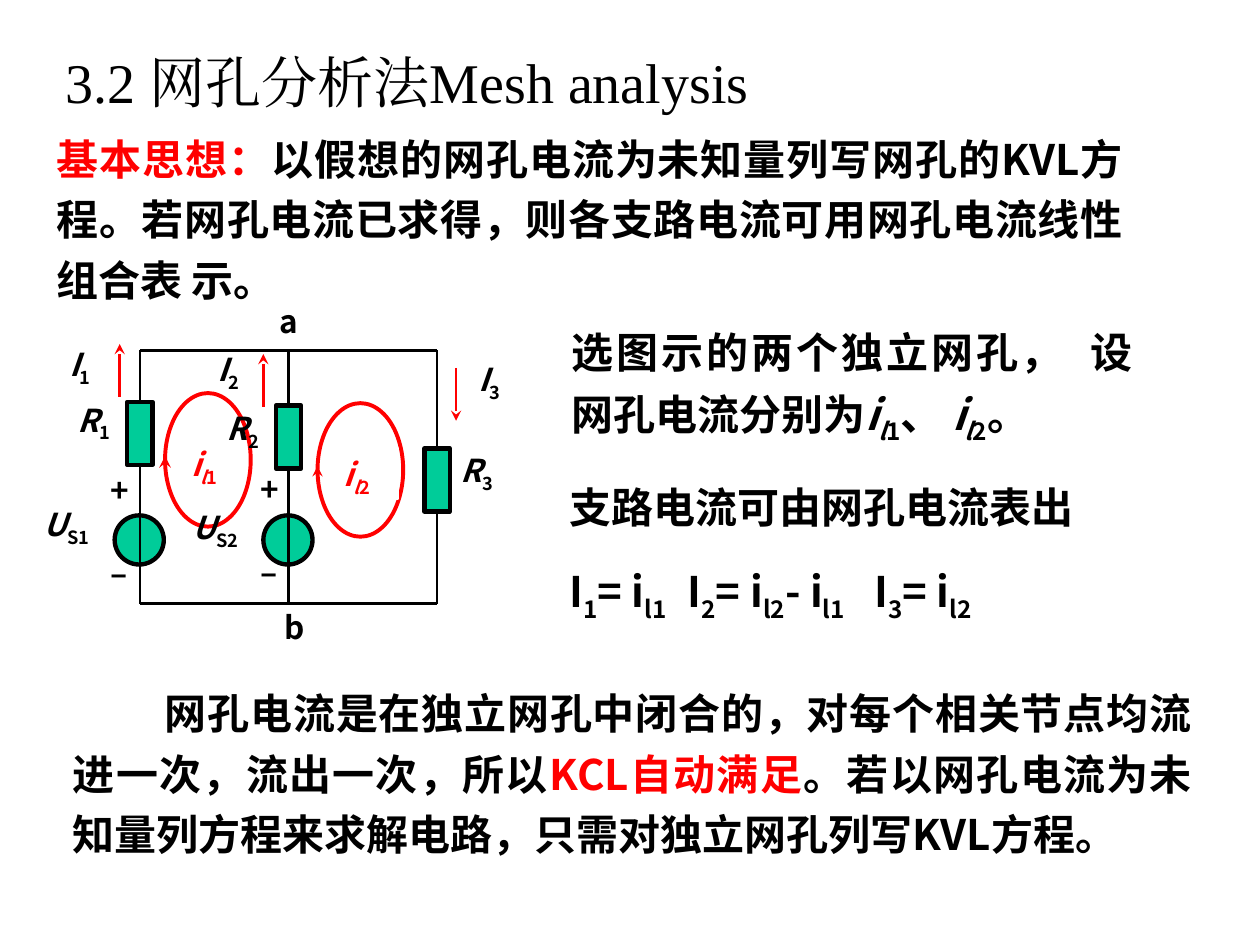
from dataclasses import dataclass

from lxml import etree
from pptx import Presentation
from pptx.dml.color import RGBColor
from pptx.enum import shapes, text
from pptx.oxml import ns
from pptx.util import Inches, Pt


@dataclass(frozen=True)
class Theme:
    black: RGBColor = RGBColor(0, 0, 0)
    red: RGBColor = RGBColor(255, 0, 0)
    green: RGBColor = RGBColor(0, 0xCC, 0x99)
    white: RGBColor = RGBColor(255, 255, 255)
    body_font: str = "Noto Sans CJK SC"
    title_font: str = "Times New Roman"
    title: int = 32
    body: int = 24
    label: int = 18


theme = Theme()
prs = Presentation()
prs.slide_width, prs.slide_height = Inches(10), Inches(7.5)
slide = prs.slides.add_slide(prs.slide_layouts[6])


def add_text(at, paragraphs, size=theme.label, font=theme.body_font, bold=True,
             spacing=None, justify=False, wrap=True):
    """Each run is (wording, flags): i italic, s subscript, r red."""
    box = slide.shapes.add_textbox(*map(Inches, at))
    frame = box.text_frame
    frame.word_wrap = wrap
    for number, runs in enumerate(paragraphs):
        paragraph = frame.add_paragraph() if number else frame.paragraphs[0]
        if number:
            paragraph.space_before = Pt(13)
        if spacing:
            paragraph.line_spacing = spacing
        paragraph.alignment = text.PP_ALIGN.JUSTIFY if justify else text.PP_ALIGN.LEFT
        for wording, flags in runs:
            run = paragraph.add_run()
            run.text = wording
            run.font.size, run.font.name, run.font.bold = Pt(size), font, bold
            run.font.italic = "i" in flags
            run.font.color.rgb = theme.red if "r" in flags else theme.black
            properties = run.font._element
            etree.SubElement(properties, ns.qn("a:ea")).set("typeface", font)
            if "s" in flags:
                properties.set("baseline", "-25000")
    return box


def add_line(x1, y1, x2, y2, color=theme.black, width=1.5, arrow=False):
    line = slide.shapes.add_connector(
        shapes.MSO_CONNECTOR.STRAIGHT, *map(Inches, (x1, y1, x2, y2)))
    line.line.color.rgb = color
    line.line.width = Pt(width)
    if arrow:
        etree.SubElement(line.line._get_or_add_ln(), ns.qn("a:tailEnd")).set("type", "stealth")
    etree.SubElement(line._element.spPr, ns.qn("a:effectLst"))


# Title
add_text((0.42, 0.33, 9.25, 0.92), [[("3.2 网孔分析法Mesh analysis", "")]],
         theme.title, theme.title_font, bold=False)

# Basic idea and conclusion
add_text((0.35, 0.93, 8.66, 1.56), [[
    ("基本思想：", "r"),
    ("以假想的网孔电流为未知量列写网孔的KVL方程。若网孔电流已求得，"
     "则各支路电流可用网孔电流线性组合表 示。", "")]],
    theme.body, spacing=1.2, justify=True)
conclusion = add_text((0.48, 5.33, 9.08, 1.56), [[
    ("网孔电流是在独立网孔中闭合的，对每个相关节点均流 进一次，流出一次，所以", ""),
    ("KCL自动满足", "r"),
    ("。若以网孔电流为未 知量列方程来求解电路，只需对独立网孔列写KVL方程。", "")]],
    theme.body, spacing=1.2, justify=True)
conclusion.text_frame.paragraphs[0]._p.get_or_add_pPr().set("indent", str(Inches(0.73)))

# Mesh current definitions
add_text((4.44, 2.46, 4.65, 1.07), [[
    ("选图示的两个独立网孔，  设网孔电流分别为", ""),
    ("i", "i"), ("l", "is"), ("1", "s"), ("、 ", ""),
    ("i", "i"), ("l", "is"), ("2", "s"), ("。", "")]],
    theme.body, spacing=1.2, justify=True)

# Branch currents, with the three equations on tab stops
branch = add_text((4.42, 3.69, 5.37, 1.68), [
    [("支路电流可由网孔电流表出", "")],
    [("I", ""), ("1", "s"), ("= i", ""), ("l1", "s"),
     ("\tI", ""), ("2", "s"), ("= i", ""), ("l2", "s"), ("- i", ""), ("l1", "s"),
     ("\tI", ""), ("3", "s"), ("= i", ""), ("l2", "s")]],
    theme.body, spacing=1.2, wrap=False)
tabs = etree.SubElement(branch.text_frame.paragraphs[1]._p.get_or_add_pPr(), ns.qn("a:tabLst"))
for stop in (0.94, 2.42):
    tab = etree.SubElement(tabs, ns.qn("a:tab"))
    tab.set("pos", str(Inches(stop)))
    tab.set("algn", "l")

# Mesh loops with their direction arrows
for number, left, top, arrow_width in (("1", 1.31, 3.12, 2.25), ("2", 2.52, 3.2, 1.5)):
    loop = slide.shapes.add_shape(
        shapes.MSO_SHAPE.OVAL, *map(Inches, (left, top, 0.68, 1.06)))
    loop.shadow.inherit = False
    loop.fill.background()
    loop.line.color.rgb, loop.line.width = theme.red, Pt(2.25)
    mesh_label = add_text((left + 0.11, top + 0.36, 0.53, 0.4),
                          [[("i", "ir"), ("l", "irs"), (number, "rs")]])
    if number == "2":
        mesh_label.line.color.rgb, mesh_label.line.width = theme.white, Pt(1.5)
    add_line(left, top + 0.56, left, top + 0.5, theme.red, arrow_width, arrow=True)

# Sources lie under the wires, resistors over them
branches = (1.11, 2.29, 3.47)
rail_top, rail_bottom = 2.78, 4.79
parts = [(shapes.MSO_SHAPE.OVAL, x - 0.2, 4.09, 0.39, 0.39) for x in branches[:2]]
parts += [(shapes.MSO_SHAPE.RECTANGLE, x - 0.1, y, 0.2, 0.5)
          for x, y in zip(branches, (3.19, 3.22, 3.56))]
for number, (kind, *at) in enumerate(parts):
    if number == 2:
        for x in branches:
            add_line(x, rail_top, x, rail_bottom)
        for y in (rail_top, rail_bottom):
            add_line(branches[0], y, branches[-1], y)
    part = slide.shapes.add_shape(kind, *map(Inches, at))
    part.shadow.inherit = False
    part.fill.solid()
    part.fill.fore_color.rgb = theme.green
    part.line.color.rgb, part.line.width = theme.black, Pt(2.5)

# Branch current arrows
for x, start, end in ((0.95, 3.15, 2.73), (2.09, 3.23, 2.81), (3.62, 2.92, 3.34)):
    add_line(x, start, x, end, theme.red, arrow=True)

# Quantity labels
for symbol, index, left, top, width in (
        ("I", "1", 0.45, 2.69, 0.49), ("I", "2", 1.63, 2.73, 0.49), ("I", "3", 3.7, 2.81, 0.65),
        ("R", "1", 0.52, 3.13, 0.65), ("R", "2", 1.7, 3.2, 0.69), ("R", "3", 3.56, 3.53, 0.65),
        ("U", "S1", 0.25, 3.96, 0.72), ("U", "S2", 1.43, 3.98, 0.88)):
    add_text((left, top, width, 0.5), [[(symbol, "i"), (index, "s")]])

# Polarity signs and nodes
for sign, left, top in (("+", 0.78, 3.69), ("–", 0.78, 4.35),
                        ("+", 1.97, 3.68), ("–", 1.97, 4.34),
                        ("a", 2.12, 2.35), ("b", 2.16, 4.78)):
    add_text((left, top, 0.38, 0.5), [[(sign, "")]], wrap=sign in "+–")

prs.save("out.pptx")
